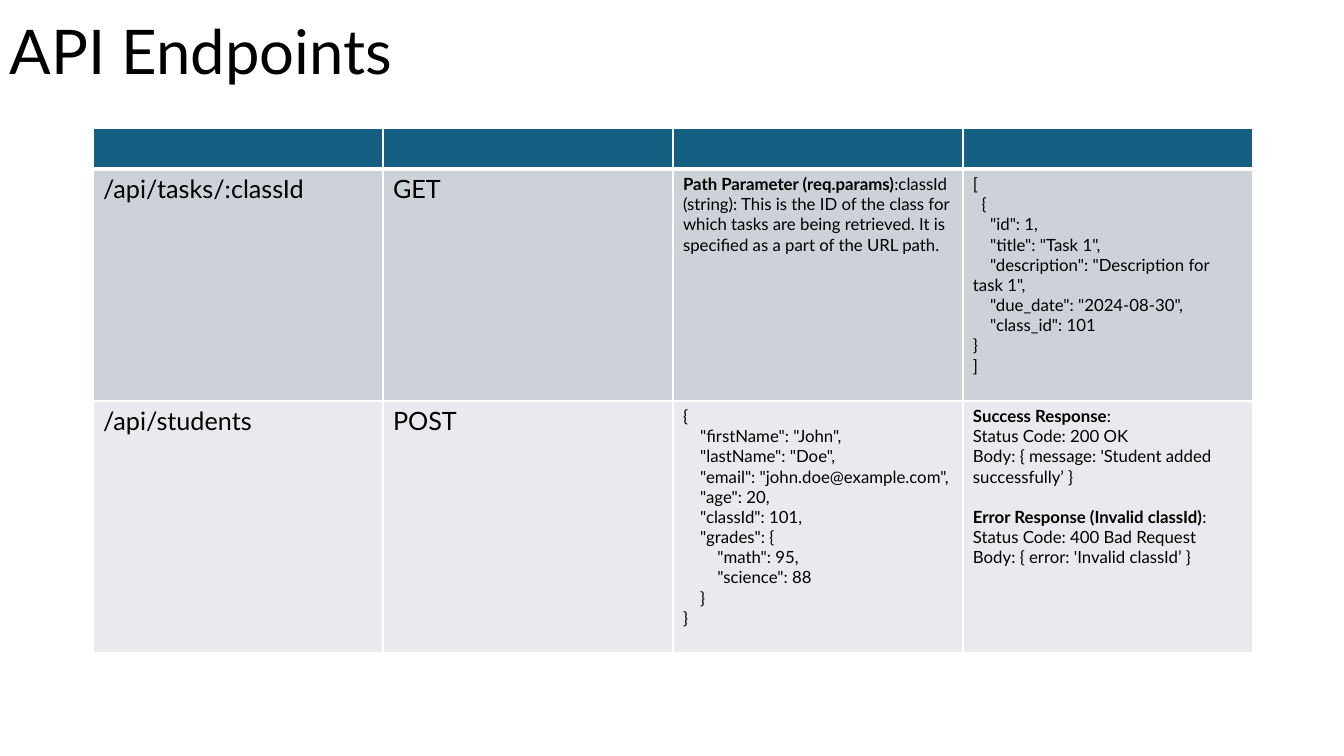
"""Build the API Endpoints slide with its table of routes."""
import pptx
import pptx.dml.color
import pptx.enum.text
import pptx.oxml
import pptx.oxml.ns
import pptx.util

EMU_PER_PX = 914400 / 100.8
FONT = "Lato"
BLACK = pptx.dml.color.RGBColor(0x00, 0x00, 0x00)
WHITE = pptx.dml.color.RGBColor(0xFF, 0xFF, 0xFF)
HEADER_BLUE = pptx.dml.color.RGBColor(0x15, 0x60, 0x82)
BAND_DARK = pptx.dml.color.RGBColor(0xCC, 0xD2, 0xD8)
BAND_LIGHT = pptx.dml.color.RGBColor(0xE8, 0xEA, 0xED)

ROW_FILLS = [HEADER_BLUE, BAND_DARK, BAND_LIGHT]
ROW_HEIGHTS = [41, 232, 252]
COLUMN_SIZES = [18, 18, 12, 12]
COLUMN_WIDTH = 290
BOLD_END = "|"

TASKS_PARAMETER = (
    "Path Parameter (req.params)|:classId (string): This is the ID of the class for "
    "which tasks are being retrieved. It is specified as a part of the URL path."
)
TASKS_RESPONSE = """[
  {
    "id": 1,
    "title": "Task 1",
    "description": "Description for task 1",
    "due_date": "2024-08-30",
    "class_id": 101
}
]"""
STUDENT_BODY = """{
    "firstName": "John",
    "lastName": "Doe",
    "email": "john.doe@example.com",
    "age": 20,
    "classId": 101,
    "grades": {
        "math": 95,
        "science": 88
    }
}"""
STUDENT_RESPONSE = """Success Response|:
Status Code: 200 OK
Body: { message: 'Student added successfully’ }
Error Response (Invalid classId)|:
Status Code: 400 Bad Request Body: { error: 'Invalid classId’ }"""
ROWS = [
    ["", "", "", ""],
    ["/api/tasks/:classId", "GET", TASKS_PARAMETER, TASKS_RESPONSE],
    ["/api/students", "POST", STUDENT_BODY, STUDENT_RESPONSE],
]


def px(length):
    """Turn pixels into EMU."""
    return pptx.util.Emu(round(length * EMU_PER_PX))


def format_font(font, size):
    """Apply the slide's typeface in black at a point size."""
    font.name = FONT
    font.size = pptx.util.Pt(size)
    font.color.rgb = BLACK


def add_title(slide, text):
    """Add the large heading at the top left."""
    shape = slide.shapes.add_textbox(px(0), px(-18), px(1159), px(146))
    text_frame = shape.text_frame
    text_frame.word_wrap = True
    text_frame.vertical_anchor = pptx.enum.text.MSO_ANCHOR.MIDDLE
    text_frame.text = text
    paragraph = text_frame.paragraphs[0]
    paragraph.line_spacing = 0.9
    format_font(paragraph.runs[0].font, 44)


def set_borders(cell, top, bottom):
    """Draw white cell borders, with top and bottom widths in points."""
    properties = cell._tc.get_or_add_tcPr()
    for side, width in (("L", 1), ("R", 1), ("T", top), ("B", bottom)):
        properties.append(pptx.oxml.parse_xml(
            f'<a:ln{side} {pptx.oxml.ns.nsdecls("a")} w="{pptx.util.Pt(width)}">'
            f'<a:solidFill><a:srgbClr val="{WHITE}"/></a:solidFill></a:ln{side}>'
        ))


def fill_text(cell, text, size):
    """Write one paragraph per line, with the lead before the mark in bold."""
    cell.text_frame.text = text.replace(BOLD_END, "")
    for index, line in enumerate(text.split("\n")):
        paragraph = cell.text_frame.paragraphs[index]
        lead, mark, rest = line.partition(BOLD_END)
        if mark:
            paragraph.runs[0].text = lead
            paragraph.runs[0].font.bold = True
            paragraph.add_run().text = rest
            if index:
                paragraph.space_before = pptx.util.Pt(14.4)
        for run in paragraph.runs:
            format_font(run.font, size)
            run.font.bold = bool(run.font.bold)


def add_endpoint_table(slide):
    """Add the table of endpoints, methods, inputs and responses."""
    table = slide.shapes.add_table(
        len(ROWS), len(COLUMN_SIZES), px(93), px(128),
        px(COLUMN_WIDTH * len(COLUMN_SIZES)), px(sum(ROW_HEIGHTS)),
    ).table
    for column in table.columns:
        column.width = px(COLUMN_WIDTH)
    for row_index, texts in enumerate(ROWS):
        table.rows[row_index].height = px(ROW_HEIGHTS[row_index])
        for column_index, text in enumerate(texts):
            cell = table.cell(row_index, column_index)
            set_borders(cell, 3 if row_index == 1 else 1, 3 if row_index == 0 else 1)
            cell.fill.solid()
            cell.fill.fore_color.rgb = ROW_FILLS[row_index]
            if text:
                fill_text(cell, text, COLUMN_SIZES[column_index])


def main():
    """Build and save the presentation."""
    presentation = pptx.Presentation()
    presentation.slide_width = px(1344)
    presentation.slide_height = px(756)
    slide = presentation.slides.add_slide(presentation.slide_layouts[6])
    add_title(slide, "API Endpoints")
    add_endpoint_table(slide)
    presentation.save("out.pptx")


if __name__ == "__main__":
    main()
